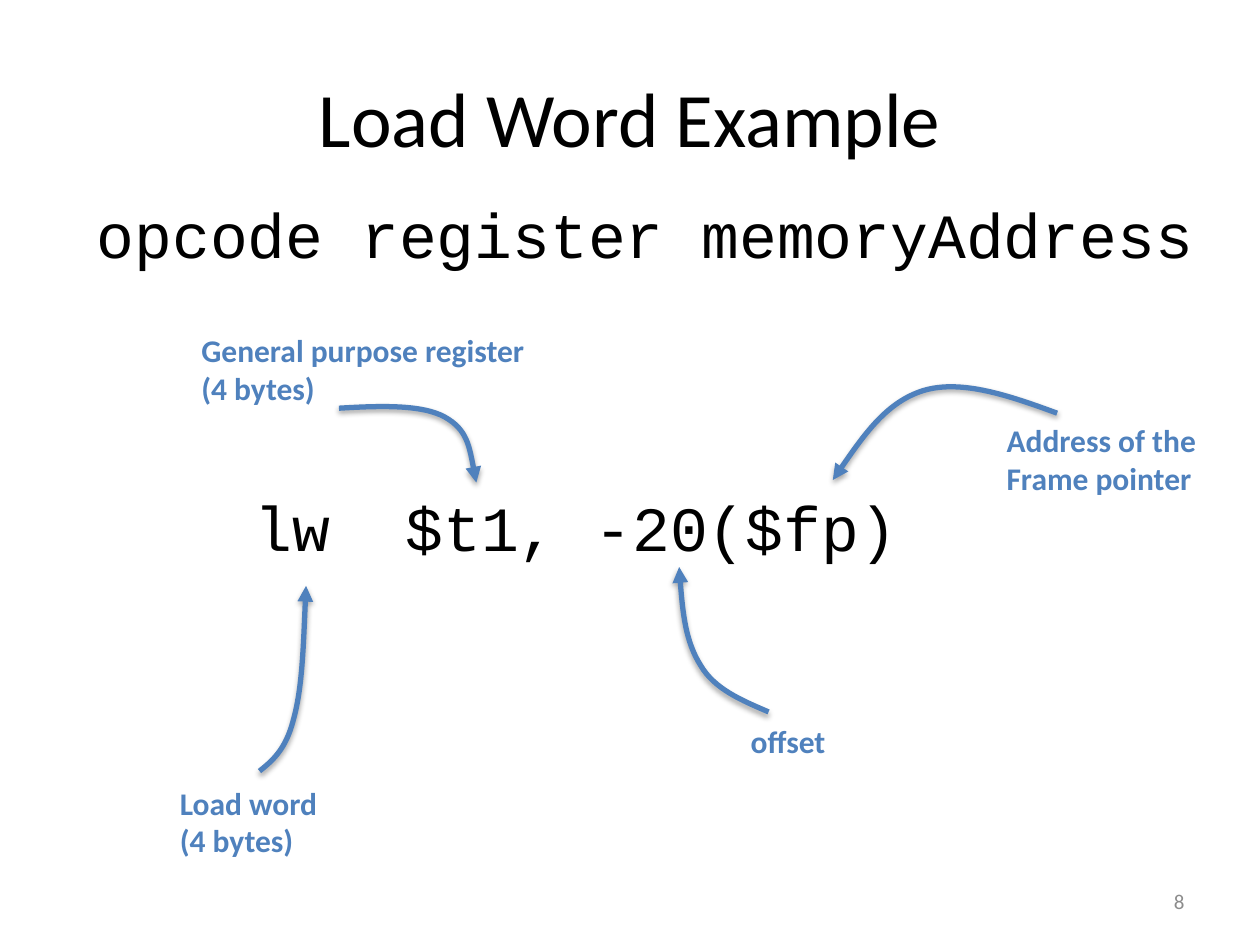
"""Build a slide that explains the parts of a load word instruction."""
from lxml import etree
from pptx import Presentation
from pptx.dml.color import RGBColor
from pptx.enum.text import MSO_ANCHOR, MSO_AUTO_SIZE, PP_ALIGN
from pptx.oxml.ns import qn
from pptx.util import Inches, Pt

CENTER, RIGHT = PP_ALIGN.CENTER, PP_ALIGN.RIGHT
MIDDLE = MSO_ANCHOR.MIDDLE
NO_FIT, GROW = MSO_AUTO_SIZE.NONE, MSO_AUTO_SIZE.SHAPE_TO_FIT_TEXT
BLACK = RGBColor(0x00, 0x00, 0x00)
BLUE = RGBColor(0x4F, 0x81, 0xBD)
GRAY = RGBColor(0x8C, 0x8C, 0x8C)

deck = Presentation()
deck.slide_width, deck.slide_height = Inches(10), Inches(7.5)
COLUMN, ROW = deck.slide_width / 10, deck.slide_height / 7.5
slide = deck.slides.add_slide(deck.slide_layouts[5])


def place(column, row):
    return round(column * COLUMN), round(row * ROW)


def add_text(lines, corner, size, font_name, points, color, bold=False, wrap=True):
    box = slide.shapes.add_textbox(*place(*corner), *place(*size))
    frame = box.text_frame
    frame.text = "\n".join(lines)
    frame.word_wrap = wrap
    frame.auto_size = GROW
    for paragraph in frame.paragraphs:
        paragraph.font.name = font_name
        paragraph.font.size = Pt(points)
        paragraph.font.bold = bold
        paragraph.font.color.rgb = color
    return frame


title = slide.shapes.title
title.left, title.top = place(0.5, 0.3)
title.width, title.height = place(9, 1.25)
title.text_frame.text = "Load Word Example"
title.text_frame.vertical_anchor = MIDDLE
heading = title.text_frame.paragraphs[0]
heading.alignment = CENTER
heading.font.name = "Calibri"
heading.font.size = Pt(44)
heading.font.color.rgb = BLACK

code_lines = [
    ("lw  $t1, -20($fp)", (1.92, 3.83), (6.17, 0.71)),
    ("opcode register memoryAddress", (0.67, 1.5), (9.33, 0.71)),
]
for code, corner, size in code_lines:
    add_text([code], corner, size, "Courier New", 36, BLACK)

annotations = [
    (["Load word", "(4 bytes)"], (1.33, 6.17), (1.3, 0.71),
     [(2.06, 6.12), (2.16, 6.04), (2.27, 5.95), (2.33, 5.71),
      (2.4, 5.46), (2.41, 5.06), (2.43, 4.65)]),
    (["General purpose register", "(4 bytes)"], (1.5, 2.58), (2.78, 0.71),
     [(2.69, 3.24), (3.02, 3.22), (3.35, 3.21), (3.53, 3.31),
      (3.71, 3.41), (3.74, 3.62), (3.78, 3.83)]),
    (["offset"], (5.86, 5.68), (0.81, 0.4),
     [(6.1, 5.65), (5.89, 5.56), (5.67, 5.47), (5.56, 5.28),
      (5.44, 5.09), (5.41, 4.79), (5.39, 4.5)]),
    (["Address of the", "Frame pointer"], (7.89, 3.29), (1.78, 0.71),
     [(8.39, 3.28), (8.01, 3.14), (7.63, 3.01), (7.33, 3.1),
      (7.04, 3.19), (6.82, 3.5), (6.61, 3.81)]),
]
for label, corner, size, curve in annotations:
    add_text(label, corner, size, "Calibri", 18, BLUE, bold=True, wrap=False)

    start, *rest = [place(*point) for point in curve]
    builder = slide.shapes.build_freeform(*start)
    builder.add_line_segments(rest, close=False)
    arrow = builder.convert_to_shape()
    arrow.fill.background()
    arrow.line.color.rgb = BLUE
    arrow.line.width = Pt(3)
    arrow.shadow.inherit = False

    properties = arrow.element.spPr
    outline = next(properties.iter(qn("a:path")))
    segments = outline.findall(qn("a:lnTo"))
    for first in range(0, len(segments), 3):
        bezier = etree.SubElement(outline, qn("a:cubicBezTo"))
        for segment in segments[first:first + 3]:
            bezier.append(segment[0])
            outline.remove(segment)

    etree.SubElement(properties.find(qn("a:ln")), qn("a:tailEnd"), type="triangle")
    shadow = etree.SubElement(
        properties.find(qn("a:effectLst")), qn("a:outerShdw"),
        blurRad="40000", dist="23000", dir="5400000", rotWithShape="0")
    shade = etree.SubElement(shadow, qn("a:srgbClr"), val=str(BLACK))
    etree.SubElement(shade, qn("a:alpha"), val="35000")

page_number = add_text(["8"], (7.17, 6.95), (2.33, 0.4), "Calibri", 12, GRAY)
page_number.auto_size = NO_FIT
page_number.vertical_anchor = MIDDLE
page_number.paragraphs[0].alignment = RIGHT

deck.save("out.pptx")
